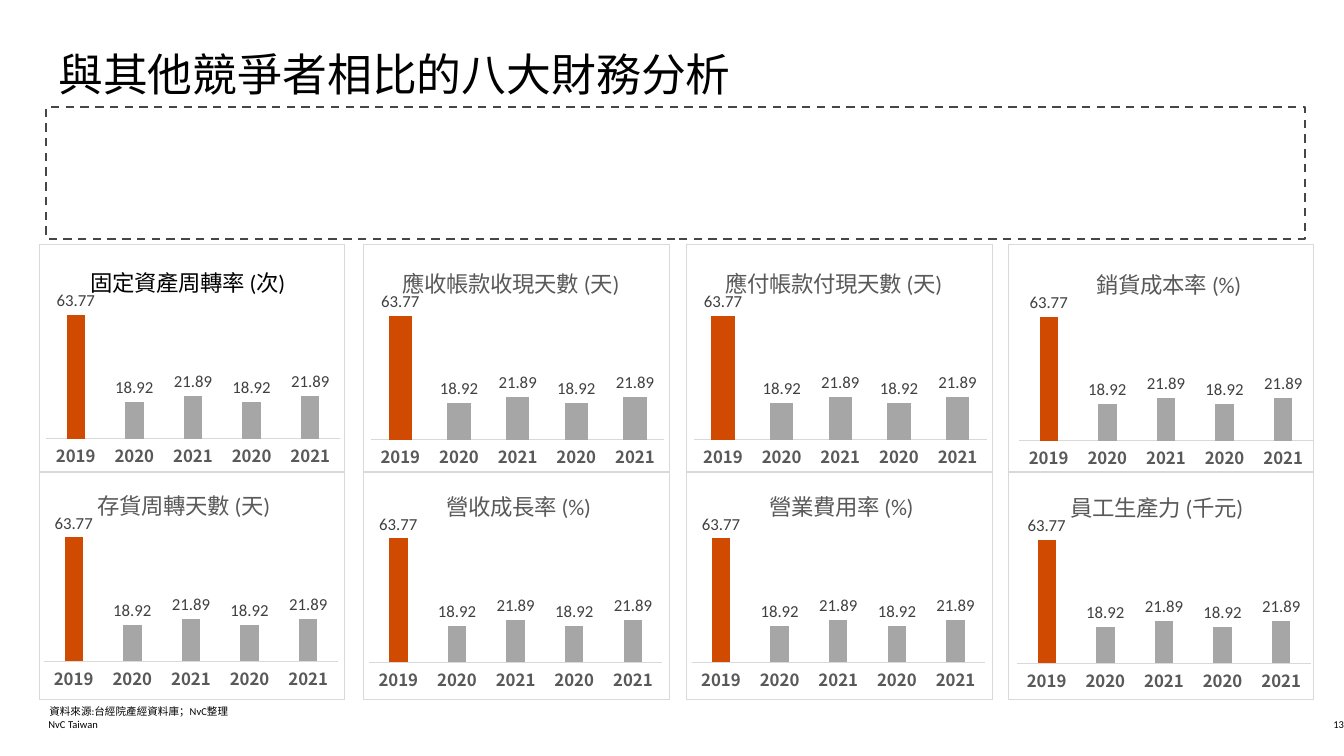
from dataclasses import dataclass

from lxml import etree
from pptx import Presentation
from pptx.chart.data import CategoryChartData
from pptx.dml.color import RGBColor
from pptx.enum.chart import XL_CHART_TYPE, XL_LABEL_POSITION, XL_TICK_LABEL_POSITION, XL_TICK_MARK
from pptx.enum.dml import MSO_LINE
from pptx.enum.shapes import MSO_SHAPE
from pptx.enum.text import MSO_ANCHOR, PP_ALIGN
from pptx.oxml import parse_xml
from pptx.oxml.ns import nsdecls, qn
from pptx.util import Inches, Pt

RECTANGLE = MSO_SHAPE.RECTANGLE
CLUSTERED = XL_CHART_TYPE.COLUMN_CLUSTERED
OUTSIDE_END = XL_LABEL_POSITION.OUTSIDE_END
NO_TICK_LABELS = XL_TICK_LABEL_POSITION.NONE
NO_TICKS = XL_TICK_MARK.NONE
DASH = MSO_LINE.DASH
TOP, BOTTOM = MSO_ANCHOR.TOP, MSO_ANCHOR.BOTTOM
LEFT, RIGHT = PP_ALIGN.LEFT, PP_ALIGN.RIGHT


@dataclass(frozen=True)
class Theme:
    latin: str = "Calibri"
    chinese: str = "Noto Sans CJK SC"
    black: RGBColor = RGBColor.from_string("000000")
    gray: RGBColor = RGBColor.from_string("595959")
    label: RGBColor = RGBColor.from_string("404040")
    dashed: RGBColor = RGBColor.from_string("464646")
    rule: RGBColor = RGBColor.from_string("D9D9D9")
    bar: RGBColor = RGBColor.from_string("A6A6A6")
    highlight: RGBColor = RGBColor.from_string("D04A02")
    title_size: Pt = Pt(32)
    chart_title_size: Pt = Pt(16)
    label_size: Pt = Pt(12)
    footer_size: Pt = Pt(7.5)


theme = Theme()
presentation = Presentation()
presentation.slide_width, presentation.slide_height = Inches(13.33), Inches(7.5)
slide = presentation.slides.add_slide(presentation.slide_layouts[6])


def style_font(font, size, color, name=theme.latin):
    """Latin text takes the named font; Chinese text always takes the Chinese one."""
    font.size, font.name = size, name
    font.color.rgb = color
    east_asian = etree.Element(qn("a:ea"), typeface=theme.chinese)
    font._element.find(qn("a:latin")).addnext(east_asian)


def add_outline(left, top, width, height, color, weight):
    shape = slide.shapes.add_shape(
        RECTANGLE, Inches(left), Inches(top), Inches(width), Inches(height))
    shape.shadow.inherit = False
    shape.fill.background()
    shape.line.color.rgb = color
    shape.line.width = Pt(weight)
    return shape


# Frames behind the charts
frame_lefts = (0.39, 3.61, 6.81, 10)
for frame_top in (2.43, 4.68):
    for frame_left in frame_lefts:
        add_outline(frame_left, frame_top, 3.03, 2.26, theme.rule, 0.75)

# Title, source, footer and page number
texts = (
    ("與其他競爭者相比的八大財務分析", (0.48, 0.47, 12.36, 1.52),
     theme.title_size, theme.chinese, LEFT, TOP, True),
    ("資料來源:台經院產經資料庫；NvC整理", (0.39, 6.94, 6.32, 0.16),
     theme.footer_size, theme.latin, LEFT, TOP, True),
    ("NvC Taiwan", (0.48, 7.1, 5.99, 0.15),
     theme.footer_size, theme.latin, LEFT, BOTTOM, False),
    ("13", (11.4, 7.1, 1.93, 0.15),
     theme.footer_size, theme.latin, RIGHT, BOTTOM, False),
)
for text, box, size, font_name, alignment, anchor, has_margins in texts:
    frame = slide.shapes.add_textbox(*map(Inches, box)).text_frame
    frame.word_wrap = True
    frame.vertical_anchor = anchor
    if not has_margins:
        frame.margin_left = frame.margin_right = frame.margin_top = frame.margin_bottom = 0
    paragraph = frame.paragraphs[0]
    paragraph.text = text
    paragraph.alignment = alignment
    if size == theme.title_size:
        paragraph.line_spacing = 0.9
    style_font(paragraph.font, size, theme.black, font_name)

# Eight financial ratios, four to a row
years = ("2019", "2020", "2021", "2020", "2021")
values = (63.77, 18.92, 21.89, 18.92, 21.89)
ratios = (
    ("固定資產周轉率 (次)", theme.black, 219),
    ("應收帳款收現天數 (天)", theme.gray, 150),
    ("應付帳款付現天數 (天)", theme.gray, 150),
    ("銷貨成本率 (%)", theme.gray, 219),
    ("存貨周轉天數 (天)", theme.gray, 219),
    ("營收成長率 (%)", theme.gray, 219),
    ("營業費用率 (%)", theme.gray, 219),
    ("員工生產力 (千元)", theme.gray, 219),
)
chart_places = ((0.4, 2.44), (3.62, 2.45), (6.82, 2.45), (10.05, 2.46))
chart_width, chart_height = 3.03, 2.25
row_shift_left, row_shift_top = -0.02, 2.21

for index, (ratio, title_color, gap) in enumerate(ratios):
    row, column = divmod(index, len(chart_places))
    left, top = chart_places[column]
    data = CategoryChartData(number_format="0.00")
    data.categories = years
    data.add_series("Series 1", values)
    chart = slide.shapes.add_chart(
        CLUSTERED,
        Inches(left + row * row_shift_left), Inches(top + row * row_shift_top),
        Inches(chart_width), Inches(chart_height), data).chart
    chart.has_legend = False
    chart.font.name, chart.font.size = theme.latin, Pt(10)

    chart.has_title = True
    title = chart.chart_title
    title.include_in_layout = False
    paragraph = title.text_frame.paragraphs[0]
    paragraph.text = ratio
    paragraph.font.bold = False
    style_font(paragraph.font, theme.chart_title_size, title_color)

    category_axis = chart.category_axis
    category_axis.major_tick_mark = NO_TICKS
    category_axis.format.line.color.rgb = theme.rule
    category_axis.format.line.width = Pt(0.75)
    category_axis.tick_labels.font.bold = True
    style_font(category_axis.tick_labels.font, theme.label_size, theme.gray, theme.chinese)

    value_axis = chart.value_axis
    value_axis.minimum_scale, value_axis.maximum_scale = 0, 70
    value_axis.has_major_gridlines = False
    value_axis.major_tick_mark = NO_TICKS
    value_axis.tick_label_position = NO_TICK_LABELS
    value_axis.format.line.fill.background()

    plot = chart.plots[0]
    plot.vary_by_categories = False
    plot.gap_width = gap
    plot.overlap = -27 if gap == 219 else 0
    series = plot.series[0]
    series.format.fill.solid()
    series.format.fill.fore_color.rgb = theme.bar
    first_bar = series.points[0].format.fill
    first_bar.solid()
    first_bar.fore_color.rgb = theme.highlight
    labels = series.data_labels
    labels.show_value = True
    labels.position = OUTSIDE_END
    labels.number_format, labels.number_format_is_linked = "0.00", False
    style_font(labels.font, theme.label_size, theme.label)

    # Centre the title: each Chinese character is one em, the rest about 1.6 em
    em = theme.chart_title_size.inches
    title_width = (sum(letter >= "一" for letter in ratio) + 1.6) * em
    title_left = round(0.5 - title_width / chart_width / 2, 2)
    plot_area = chart._chartSpace.chart.plotArea
    layouts = (
        (title._element, {"xMode": "edge", "yMode": "edge", "x": title_left, "y": 0.06}),
        (plot_area, {"layoutTarget": "inner", "xMode": "edge", "yMode": "edge",
                     "x": 0.02, "y": 0.25, "w": 0.96, "h": 0.6}),
    )
    for element, settings in layouts:
        for old_layout in element.findall(qn("c:layout")):
            element.remove(old_layout)
        entries = "".join(f'<c:{key} val="{value}"/>' for key, value in settings.items())
        layout = parse_xml(
            f'<c:layout {nsdecls("c")}><c:manualLayout>{entries}</c:manualLayout></c:layout>')
        element.insert(0 if element is plot_area else 1, layout)

# Empty commentary box above the charts
commentary = add_outline(0.46, 1.06, 12.48, 1.31, theme.dashed, 1.5)
commentary.line.dash_style = DASH

presentation.save("out.pptx")
